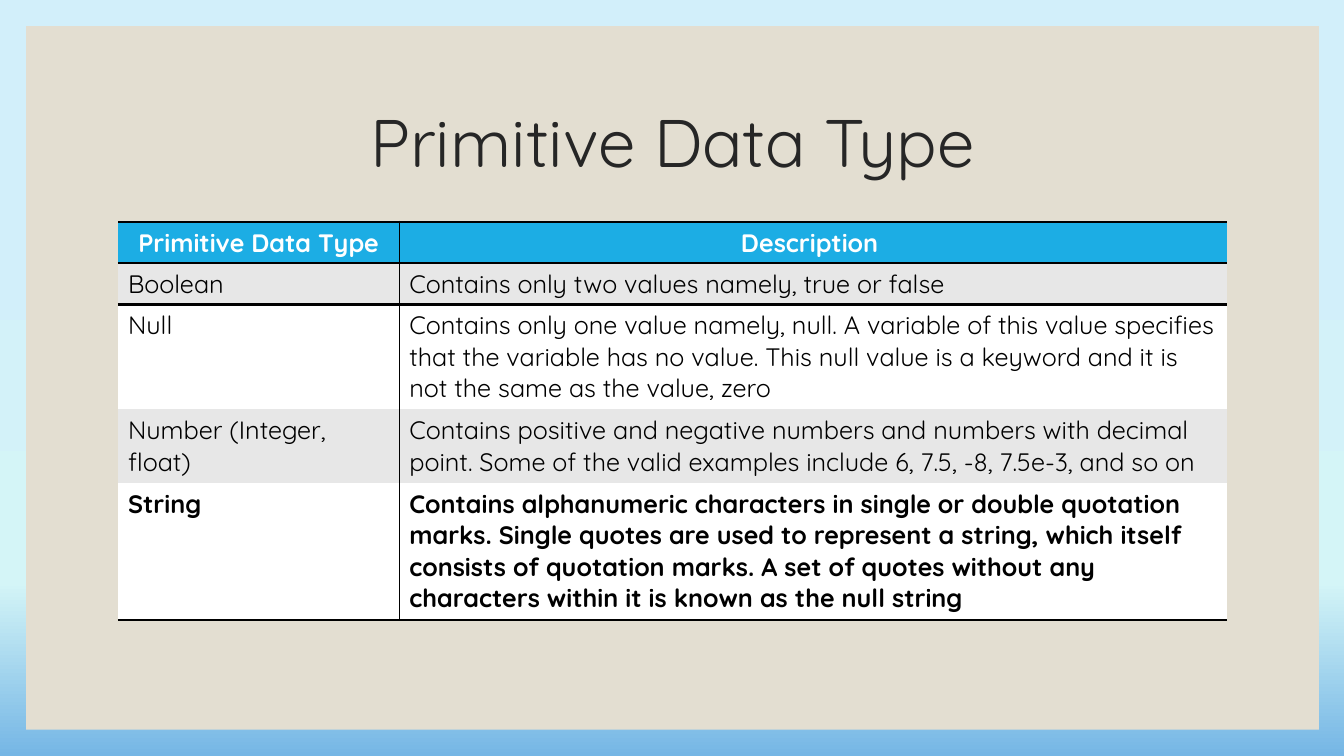
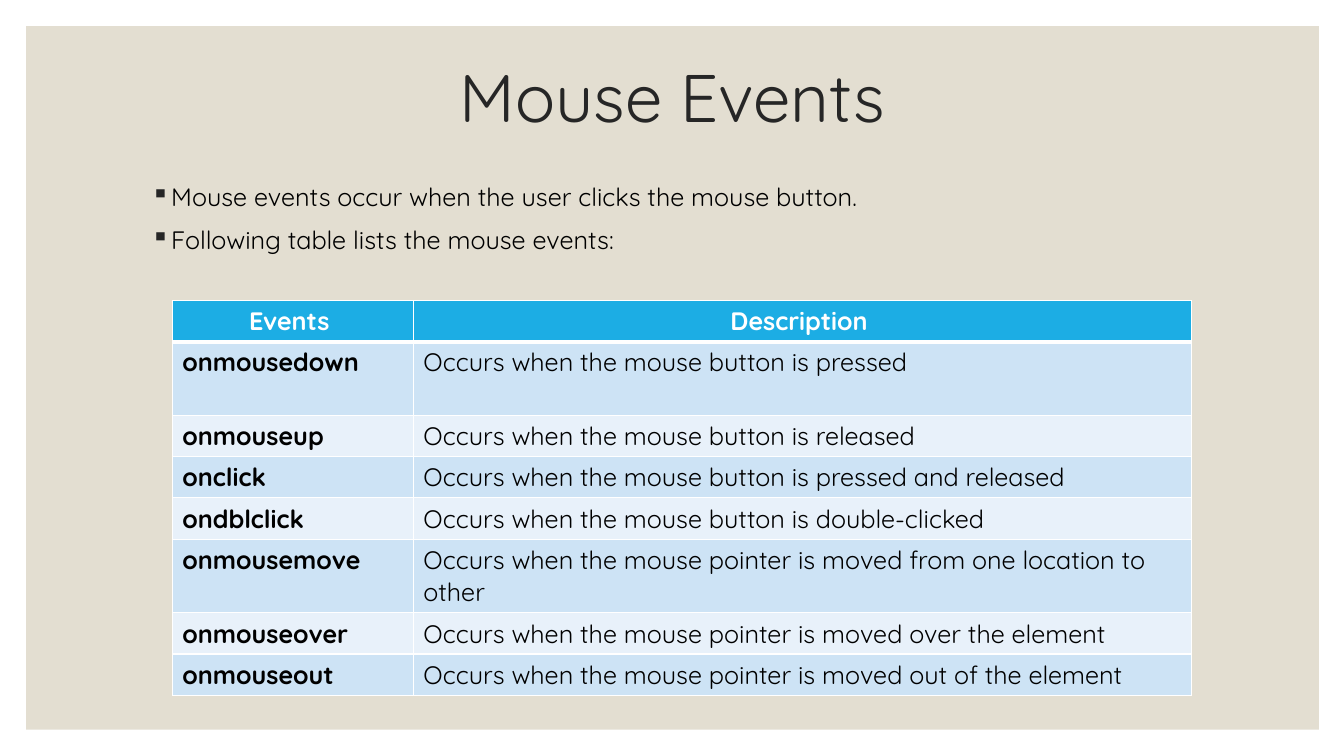
from lxml import etree
from pptx import Presentation
from pptx.dml.color import RGBColor
from pptx.enum import shapes, text
from pptx.oxml import ns
from pptx.util import Inches, Pt

FONT = "Quicksand"
BLACK = RGBColor(0x00, 0x00, 0x00)
WHITE = RGBColor(0xFF, 0xFF, 0xFF)
TITLE_GRAY = RGBColor(0x26, 0x26, 0x26)
PANEL_BEIGE = RGBColor(0xE3, 0xDE, 0xD1)
HEADER_BLUE = RGBColor(0x1C, 0xAD, 0xE4)
BAND_GRAY = RGBColor(0xE7, 0xE7, 0xE7)
BAND_BLUE = RGBColor(0xCD, 0xE3, 0xF5)
BAND_PALE = RGBColor(0xE8, 0xF1, 0xFA)
SKY = [(0, RGBColor(0xD2, 0xEF, 0xFA)), (25, RGBColor(0xD2, 0xEF, 0xFA)),
       (77, RGBColor(0xD4, 0xF5, 0xF7)), (100, RGBColor(0x75, 0xB6, 0xE5))]
NO_STYLE = "{2D5ABB26-0587-4C30-8999-92F81FD0307C}"

presentation = Presentation()
presentation.slide_width, presentation.slide_height = Inches(13.33), Inches(7.5)


def add_run(paragraph, words, size, color, bold=False):
    run = paragraph.add_run()
    run.text = words
    run.font.name, run.font.size, run.font.bold = FONT, Pt(size), bold
    run.font.color.rgb = color


def add_border(cell, side, color, width):
    """Draw one cell edge; call in the order L, R, T, B before the fill is set."""
    line = etree.SubElement(cell._tc.get_or_add_tcPr(), ns.qn(f"a:ln{side}"), w=str(Pt(width)))
    solid = etree.SubElement(line, ns.qn("a:solidFill"))
    etree.SubElement(solid, ns.qn("a:srgbClr"), val=str(color))


# Content of the two slides
type_rows = [
    ("Primitive Data Type", "Description "),
    ("Boolean", "Contains only two values namely, true or false"),
    ("Null", "Contains only one value namely, null. A variable of this value specifies that "
             "the variable has no value. This null value is a keyword and it is not the same "
             "as the value, zero"),
    ("Number (Integer, float)", "Contains positive and negative numbers and numbers with decimal "
                                "point. Some of the valid examples include 6, 7.5, -8, 7.5e-3, "
                                "and so on"),
    ("String", "Contains alphanumeric characters in single or double quotation marks. Single "
               "quotes are used to represent a string, which itself consists of quotation marks. "
               "A set of quotes without any characters within it is known as the null string"),
]
event_rows = [
    ("Events ", "Description "),
    ("onmousedown", "Occurs when the mouse button is pressed"),
    ("onmouseup", "Occurs when the mouse button is released"),
    ("onclick", "Occurs when the mouse button is pressed and released"),
    ("ondblclick", "Occurs when the mouse button is double-clicked"),
    ("onmousemove", "Occurs when the mouse pointer is moved from one location to other"),
    ("onmouseover", "Occurs when the mouse pointer is moved over the element"),
    ("onmouseout", "Occurs when the mouse pointer is moved out of the element"),
]
pages = [
    dict(title="Primitive Data Type", title_top=0.7, bullets=[], rows=type_rows,
         left=1.17, top=2.2, columns=[2.79, 8.21], heights=[0.41, 0.41, 1.04, 0.73, 1.36],
         bands=[BAND_GRAY, WHITE], bold_rows=[4], bold_columns=[], grid=False),
    dict(title="Mouse Events", title_top=0.25, rows=event_rows,
         bullets=["Mouse events occur when the user clicks the mouse button.",
                  "Following table lists the mouse events:"],
         left=1.71, top=2.98, columns=[2.39, 7.72],
         heights=[0.41, 0.73, 0.41, 0.41, 0.41, 0.73, 0.41, 0.41],
         bands=[BAND_BLUE, BAND_PALE], bold_rows=[], bold_columns=[0], grid=True),
]

for page in pages:
    slide = presentation.slides.add_slide(presentation.slide_layouts[6])

    # Background: white for the grid page, sky gradient for the other
    background = slide.background.fill
    if page["grid"]:
        background.solid()
        background.fore_color.rgb = WHITE
    else:
        background.gradient()
        background.gradient_angle = 270
        stops = slide.element.find(f".//{ns.qn('a:gsLst')}")
        for stop in list(stops):
            stops.remove(stop)
        for percent, color in SKY:
            stop = etree.SubElement(stops, ns.qn("a:gs"), pos=str(percent * 1000))
            etree.SubElement(stop, ns.qn("a:srgbClr"), val=str(color))

    # Panel
    panel = slide.shapes.add_shape(shapes.MSO_SHAPE.RECTANGLE, Inches(0.26), Inches(0.26),
                                   Inches(12.82), Inches(6.98))
    panel.shadow.inherit = False
    panel.fill.solid()
    panel.fill.fore_color.rgb = PANEL_BEIGE
    panel.line.fill.background()

    # Title
    title = slide.shapes.add_textbox(Inches(1.17), Inches(page["title_top"]),
                                     Inches(11), Inches(1.5)).text_frame
    title.word_wrap = True
    title.vertical_anchor = text.MSO_ANCHOR.MIDDLE
    title.paragraphs[0].alignment = text.PP_ALIGN.CENTER
    title.paragraphs[0].line_spacing = 0.9
    add_run(title.paragraphs[0], page["title"], 48, TITLE_GRAY)

    # Bullets
    if page["bullets"]:
        body = slide.shapes.add_textbox(Inches(1.4), Inches(1.75), Inches(11), Inches(1.1)).text_frame
        body.word_wrap = True
        for index, words in enumerate(page["bullets"]):
            paragraph = body.add_paragraph() if index else body.paragraphs[0]
            paragraph.space_before = Pt(9)
            properties = paragraph._p.get_or_add_pPr()
            properties.set("marL", str(Inches(0.2)))
            properties.set("indent", str(-Inches(0.2)))
            bullet_color = etree.SubElement(properties, ns.qn("a:buClr"))
            etree.SubElement(bullet_color, ns.qn("a:srgbClr"), val=str(TITLE_GRAY))
            etree.SubElement(properties, ns.qn("a:buChar"), char="▪")
            add_run(paragraph, words, 18, BLACK)

    # Table
    rows, columns, heights = page["rows"], page["columns"], page["heights"]
    frame = slide.shapes.add_table(len(rows), len(columns), Inches(page["left"]), Inches(page["top"]),
                                   Inches(sum(columns)), Inches(sum(heights)))
    table = frame.table
    table.horz_banding = False
    table._tbl.tblPr.find(ns.qn("a:tableStyleId")).text = NO_STYLE
    for column, width in zip(table.columns, columns):
        column.width = Inches(width)
    for row, height in zip(table.rows, heights):
        row.height = Inches(height)

    for r, row in enumerate(rows):
        header, last = r == 0, r == len(rows) - 1
        for c, words in enumerate(row):
            cell = table.cell(r, c)
            if page["grid"]:
                edges = dict(L=1, R=1, T=3 if r == 1 else 1, B=3 if header else 1)
            else:
                edges = dict(L=c, R=1 - c, T=2 if r < 2 else 0, B=2 if header or last else 0)
            for side, width in edges.items():
                if width:
                    add_border(cell, side, WHITE if page["grid"] else BLACK, width)
            cell.fill.solid()
            cell.fill.fore_color.rgb = HEADER_BLUE if header else page["bands"][(r - 1) % 2]
            paragraph = cell.text_frame.paragraphs[0]
            paragraph.alignment = text.PP_ALIGN.CENTER if header else text.PP_ALIGN.LEFT
            bold = header or r in page["bold_rows"] or c in page["bold_columns"]
            add_run(paragraph, words, 18, WHITE if header else BLACK, bold)

presentation.save("out.pptx")
